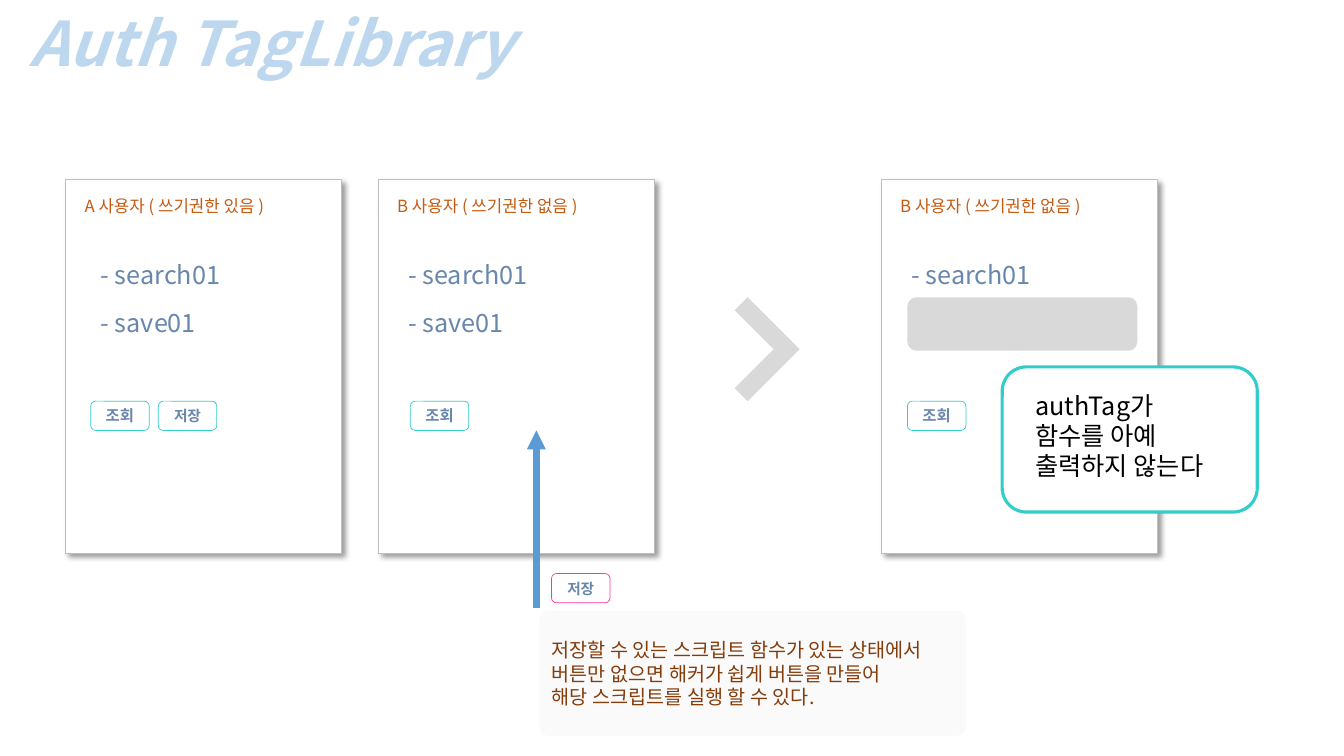
from lxml import etree
from pptx import Presentation
from pptx.dml.color import RGBColor
from pptx.enum.shapes import MSO_CONNECTOR, MSO_SHAPE
from pptx.enum.text import MSO_ANCHOR, MSO_AUTO_SIZE, PP_ALIGN
from pptx.oxml import parse_xml
from pptx.oxml.ns import nsdecls, qn
from pptx.util import Inches, Pt

FONT = "Noto Sans CJK KR"
WHITE = RGBColor(0xFF, 0xFF, 0xFF)
BLACK = RGBColor(0, 0, 0)
PALE_BLUE = RGBColor(0xBD, 0xD7, 0xEE)
ARROW_BLUE = RGBColor(0x5B, 0x9B, 0xD5)
SLATE = RGBColor(0x68, 0x87, 0xAC)
TEAL = RGBColor(0x33, 0xCC, 0xCC)
PINK = RGBColor(0xFF, 0x33, 0x99)
ORANGE = RGBColor(0xC5, 0x5A, 0x11)
BROWN = RGBColor(0x84, 0x3C, 0x0B)
BORDER_GRAY = RGBColor(0xBF, 0xBF, 0xBF)
MASK_GRAY = RGBColor(0xD9, 0xD9, 0xD9)
NOTE_GRAY = RGBColor(0xFA, 0xFA, 0xFA)

CARD_TOP, CARD_W, CARD_H = 1.78, 2.74, 3.71
BUTTON_W, BUTTON_H = 0.58, 0.29
BUTTON_TOP = CARD_TOP + 2.2
SHADOW = (
    f'<a:effectLst {nsdecls("a")}><a:outerShdw blurRad="50800" dist="38100" dir="2700000" '
    'algn="tl" rotWithShape="0"><a:srgbClr val="000000"><a:alpha val="40000"/></a:srgbClr>'
    "</a:outerShdw></a:effectLst>"
)


def write(frame, lines, size, color, bold=False, italic=False, align=PP_ALIGN.LEFT):
    for index, line in enumerate(lines):
        paragraph = frame.paragraphs[0] if index == 0 else frame.add_paragraph()
        paragraph.alignment = align
        run = paragraph.add_run()
        run.text = line
        font = run.font
        font.size, font.bold, font.italic = Pt(size), bold, italic
        font.color.rgb = color
        font.name = FONT
        east_asian = etree.SubElement(font._element, qn("a:ea"))
        east_asian.set("typeface", FONT)


def add_label(slide, left, top, width, height, lines, size, color, **style):
    label = slide.shapes.add_textbox(*map(Inches, (left, top, width, height)))
    label.text_frame.word_wrap = False
    label.text_frame.auto_size = MSO_AUTO_SIZE.SHAPE_TO_FIT_TEXT
    write(label.text_frame, lines, size, color, **style)


def add_panel(slide, kind, left, top, width, height, fill, line=None, line_width=0.5):
    panel = slide.shapes.add_shape(kind, *map(Inches, (left, top, width, height)))
    panel.shadow.inherit = False
    panel.fill.solid()
    panel.fill.fore_color.rgb = fill
    if line is None:
        panel.line.fill.background()
    else:
        panel.line.color.rgb = line
        panel.line.width = Pt(line_width)
    return panel


def add_button(slide, left, top, caption, size=11, line=TEAL):
    button = add_panel(slide, MSO_SHAPE.ROUNDED_RECTANGLE, left, top,
                       BUTTON_W, BUTTON_H, WHITE, line)
    button.text_frame.word_wrap = True
    button.text_frame.vertical_anchor = MSO_ANCHOR.MIDDLE
    write(button.text_frame, [caption], size, SLATE, bold=True, align=PP_ALIGN.CENTER)


def add_user_card(slide, left, heading, functions, function_inset):
    """Shadowed card with a user heading and the functions that user receives."""
    card = add_panel(slide, MSO_SHAPE.RECTANGLE, left, CARD_TOP, CARD_W, CARD_H,
                     WHITE, BORDER_GRAY)
    properties = card._element.spPr
    properties.replace(properties.find(qn("a:effectLst")), parse_xml(SHADOW))
    add_label(slide, left + 0.09, CARD_TOP + 0.11, 2.21, 0.3, [heading], 12, ORANGE)
    for row, (function, width) in enumerate(functions):
        add_label(slide, left + function_inset, CARD_TOP + 0.74 + 0.48 * row,
                  width, 0.4, [function], 18, SLATE)


def add_risk_note(slide, left, top):
    """Forged save button, its arrow into the card, and the explanation."""
    note = add_panel(slide, MSO_SHAPE.ROUNDED_RECTANGLE, left, top, 4.23, 1.24, NOTE_GRAY)
    note.adjustments[0] = 0.07
    note.text_frame.word_wrap = True
    note.text_frame.vertical_anchor = MSO_ANCHOR.MIDDLE
    write(note.text_frame, ["저장할 수 있는 스크립트 함수가 있는 상태에서",
                            "버튼만 없으면 해커가 쉽게 버튼을 만들어",
                            "해당 스크립트를 실행 할 수 있다."], 14, BROWN)
    arrow_x = left - 0.03
    arrow = slide.shapes.add_connector(MSO_CONNECTOR.STRAIGHT, *map(
        Inches, (arrow_x, top - 0.03, arrow_x, top - 1.79)))
    arrow.line.color.rgb = ARROW_BLUE
    arrow.line.width = Pt(4.5)
    etree.SubElement(arrow.get_or_add_ln(), qn("a:tailEnd")).set("type", "triangle")
    etree.SubElement(arrow._element.spPr, qn("a:effectLst"))
    add_button(slide, left + 0.12, top - 0.37, "저장", 10.5, PINK)


def add_chevron(slide, left, top, side):
    chevron = add_panel(slide, MSO_SHAPE.CORNER, left, top, side, side, MASK_GRAY)
    chevron.adjustments[0] = chevron.adjustments[1] = 0.25
    chevron.rotation = 225


def add_callout(slide, left, top):
    add_panel(slide, MSO_SHAPE.ROUNDED_RECTANGLE, left, top, 2.53, 1.44, WHITE, TEAL, 2.25)
    add_label(slide, left + 0.23, top + 0.18, 2.06, 1.01,
              ["authTag가", "함수를 아예", "출력하지 않는다"], 18, BLACK)


def main():
    deck = Presentation()
    deck.slide_width, deck.slide_height = Inches(13.33), Inches(7.5)
    slide = deck.slides.add_slide(deck.slide_layouts[6])

    search, save = ("- search01", 1.4), ("- save01", 1.17)
    writer_left, reader_left, tagged_left = 0.65, 3.75, 8.74
    no_write = "B 사용자 ( 쓰기권한 없음 )"

    add_label(slide, 0.19, 0, 5.5, 0.84, ["Auth TagLibrary"], 44, PALE_BLUE,
              bold=True, italic=True)
    add_user_card(slide, reader_left, no_write, [search, save], 0.2)
    add_button(slide, reader_left + 0.32, BUTTON_TOP, "조회")

    add_user_card(slide, writer_left, "A 사용자 ( 쓰기권한 있음 )", [search, save], 0.25)
    add_button(slide, writer_left + 0.25, BUTTON_TOP, "조회")
    add_button(slide, writer_left + 0.92, BUTTON_TOP, "저장", 10.5)

    add_risk_note(slide, 5.35, 6.06)
    add_chevron(slide, 7.05, 3.1, 0.73)

    add_user_card(slide, tagged_left, no_write, [search], 0.2)
    add_button(slide, tagged_left + 0.26, BUTTON_TOP, "조회")
    add_panel(slide, MSO_SHAPE.ROUNDED_RECTANGLE, tagged_left + 0.26, CARD_TOP + 1.17,
              2.28, 0.53, MASK_GRAY)
    add_callout(slide, tagged_left + 1.2, CARD_TOP + 1.86)

    deck.save("out.pptx")


if __name__ == "__main__":
    main()
